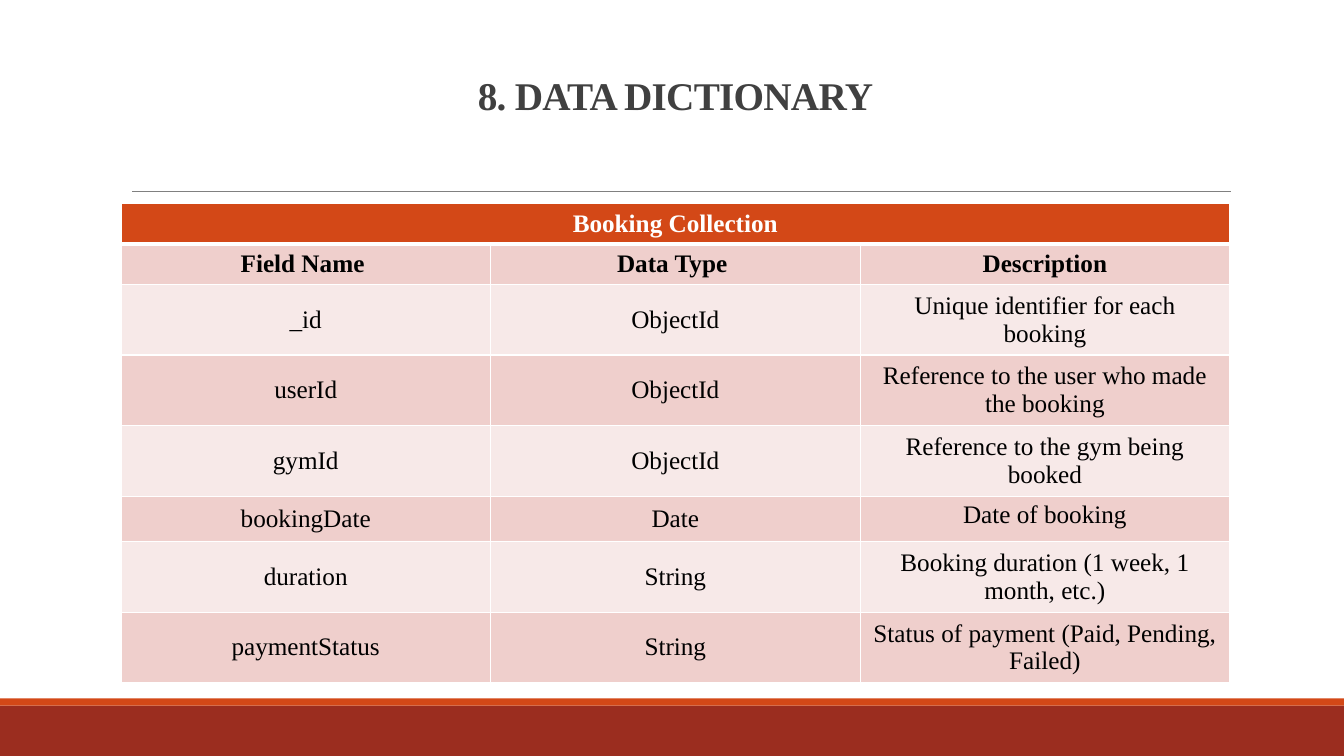
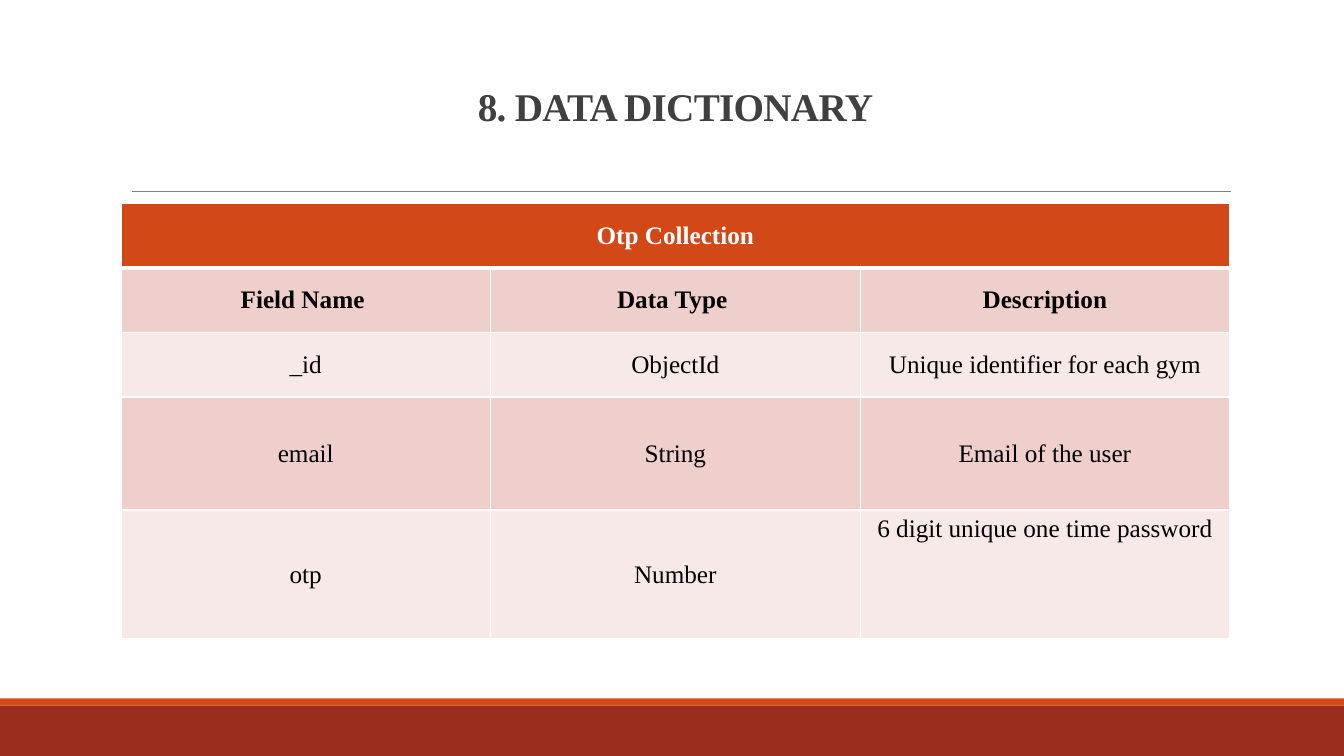
"""Build two data dictionary slides on a grid of 0.05 inch cells."""
from dataclasses import dataclass

from lxml import etree
from pptx import Presentation
from pptx import util as u
from pptx.dml.color import RGBColor
from pptx.enum import shapes, text
from pptx.oxml import ns

WHITE = RGBColor(0xFF, 0xFF, 0xFF)
BLACK = RGBColor(0x00, 0x00, 0x00)
DARK = RGBColor(0x40, 0x40, 0x40)
GREY = RGBColor(0x80, 0x80, 0x80)
RUST = RGBColor(0x9B, 0x2D, 0x1F)
ORANGE = RGBColor(0xD3, 0x48, 0x17)
ROSE = RGBColor(0xEF, 0xCF, 0xCC)
PALE = RGBColor(0xF7, 0xE9, 0xE8)

FONT = "Times New Roman"
TITLE = "8. DATA DICTIONARY"
HEADS = ("Field Name ", "Data Type ", "Description")
WIDE, HIGH = 266.67, 150
LEFT, SPAN = 24, 220


@dataclass(frozen=True)
class Band:
    """A full-width strip at the foot of the slide, in grid rows."""
    top: float
    high: float
    fill: RGBColor


@dataclass(frozen=True)
class Field:
    """One field of a collection, with its row height in grid rows."""
    name: str
    kind: str
    note: str
    high: float
    lift: bool = False


@dataclass(frozen=True)
class Page:
    """One slide: title height, collection name, heading height and fields."""
    rise: float
    name: str
    high: float
    fields: tuple[Field, ...]


BANDS = (Band(140, 10, RUST), Band(138.6, 1.4, ORANGE))

PAGES = (
    Page(18.4, "Booking Collection", 8, (
        Field("_id", "ObjectId", "Unique identifier for each booking", 14),
        Field("userId", "ObjectId", "Reference to the user who made the booking", 14),
        Field("gymId", "ObjectId", "Reference to the gym being booked", 14),
        Field("bookingDate", "Date", "Date of booking", 9, True),
        Field("duration", "String", "Booking duration (1 week, 1 month, etc.)", 14),
        Field("paymentStatus", "String", "Status of payment (Paid, Pending, Failed)", 8),
    )),
    Page(20.4, "Otp Collection", 12.8, (
        Field("_id", "ObjectId", "Unique identifier for each gym", 12.8),
        Field("email", "String", "Email of the user", 22.4),
        Field("otp", "Number", "6 digit unique one time password", 25.6, True),
    )),
)


def grid(count: float) -> u.Length:
    """Turn a count of grid cells into a length."""
    return u.Inches(count * 0.05)


def write(para, words: str, size: float, color: RGBColor, bold: bool):
    """Add one centred run to a paragraph and return it."""
    para.alignment = text.PP_ALIGN.CENTER
    run = para.add_run()
    run.text = words
    font = run.font
    font.name, font.size, font.bold = FONT, u.Pt(size), bold
    font.color.rgb = color
    return run


def frame(slide) -> None:
    """Draw the foot bands and the rule below the title."""
    for band in BANDS:
        strip = slide.shapes.add_shape(
            shapes.MSO_SHAPE.RECTANGLE, 0, grid(band.top), grid(WIDE), grid(band.high))
        strip.shadow.inherit = False
        strip.fill.solid()
        strip.fill.fore_color.rgb = band.fill
        strip.line.fill.background()
    rule = slide.shapes.add_connector(
        shapes.MSO_CONNECTOR.STRAIGHT, grid(26.2), grid(38), grid(244.2), grid(38))
    rule.line.color.rgb = GREY
    rule.line.width = u.Pt(0.5)
    etree.SubElement(rule._element.spPr, ns.qn("a:effectLst"))


def head(slide, rise: float) -> None:
    """Draw the slide title, set on the bottom of its box."""
    box = slide.shapes.add_textbox(grid(LEFT), grid(6.2), grid(SPAN), grid(rise))
    body = box.text_frame
    body.word_wrap = True
    body.vertical_anchor = text.MSO_ANCHOR.BOTTOM
    para = body.paragraphs[0]
    para.line_spacing = 0.85
    run = write(para, TITLE, 28, DARK, True)
    run._r.get_or_add_rPr().set("spc", "-50")


def edge(cell, top: float, base: float) -> None:
    """Give a cell white borders, with top and base widths in points."""
    props = cell._tc.get_or_add_tcPr()
    for side, width in (("L", 1), ("R", 1), ("T", top), ("B", base)):
        line = etree.SubElement(props, ns.qn(f"a:ln{side}"), w=str(u.Pt(width)))
        fill = etree.SubElement(line, ns.qn("a:solidFill"))
        etree.SubElement(fill, ns.qn("a:srgbClr"), val=str(WHITE))


def chart(slide, page: Page) -> None:
    """Draw the table of one collection."""
    rows = [((page.name,), page.high), (HEADS, page.high)]
    rows += [((f.name, f.kind, f.note), f.high) for f in page.fields]
    total = sum(high for _, high in rows)
    table = slide.shapes.add_table(
        len(rows), len(HEADS), grid(LEFT), grid(40.4), grid(SPAN), grid(total)).table
    table.first_row = table.horz_banding = False
    for col in table.columns:
        col.width = grid(SPAN / len(HEADS))
    for r, (words, high) in enumerate(rows):
        table.rows[r].height = grid(high)
        for cell in table.rows[r].cells:
            edge(cell, 3 if r == 1 else 1, 3 if r == 0 else 1)
            cell.fill.solid()
            cell.fill.fore_color.rgb = ORANGE if r == 0 else ROSE if r % 2 else PALE
            cell.vertical_anchor = text.MSO_ANCHOR.MIDDLE
        for c, word in enumerate(words):
            para = table.cell(r, c).text_frame.paragraphs[0]
            write(para, word, 18, BLACK if r else WHITE, r < 2)
    table.cell(0, 0).merge(table.cell(0, len(HEADS) - 1))
    for r, field in enumerate(page.fields, 2):
        if field.lift:
            table.cell(r, 2).vertical_anchor = text.MSO_ANCHOR.TOP


def main() -> None:
    """Build and save the slides."""
    deck = Presentation()
    deck.slide_width, deck.slide_height = grid(WIDE), grid(HIGH)
    for page in PAGES:
        slide = deck.slides.add_slide(deck.slide_layouts[6])
        frame(slide)
        head(slide, page.rise)
        chart(slide, page)
    deck.save("out.pptx")


if __name__ == "__main__":
    main()
